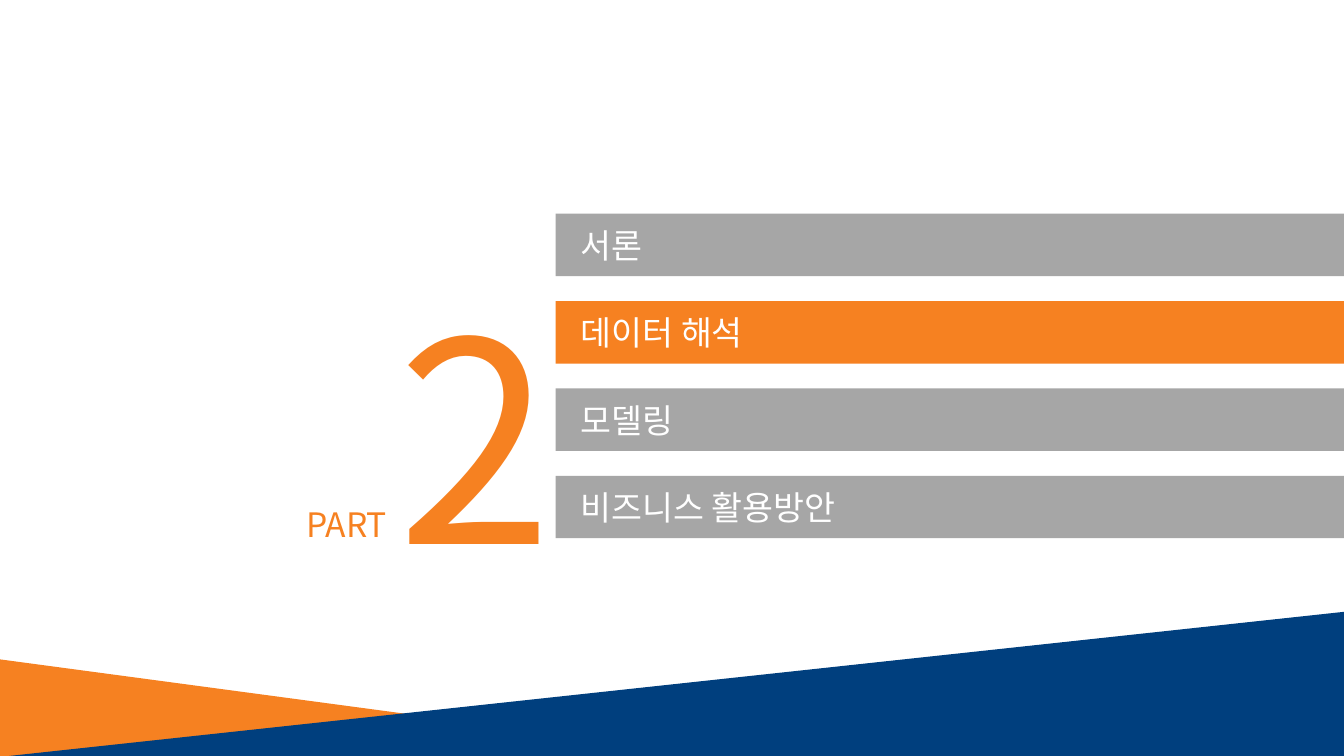
from dataclasses import dataclass

from pptx import Presentation
from pptx.dml.color import RGBColor
from pptx.enum.shapes import MSO_SHAPE
from pptx.enum.text import MSO_ANCHOR, PP_ALIGN
from pptx.oxml.ns import qn
from pptx.util import Inches, Pt

RECT = MSO_SHAPE.RECTANGLE
WEDGE = MSO_SHAPE.ISOSCELES_TRIANGLE
MIDDLE = MSO_ANCHOR.MIDDLE
TOP = MSO_ANCHOR.TOP
LEFT = PP_ALIGN.LEFT


@dataclass(frozen=True)
class Theme:
    font: str = "Noto Sans CJK KR"
    accent: str = "F68121"
    navy: str = "003F7E"
    gray: str = "A6A6A6"
    white: str = "FFFFFF"
    label: int = 24
    number: int = 200


THEME = Theme()
WIDTH, HEIGHT = 13.33, 7.5
TOPICS = ["서론", "데이터 해석", "모델링", "비즈니스 활용방안"]
CURRENT = 2


def add_form(slide, kind, box, color):
    form = slide.shapes.add_shape(kind, *map(Inches, box))
    form.shadow.inherit = False
    form.fill.solid()
    form.fill.fore_color.rgb = RGBColor.from_string(color)
    form.line.fill.background()
    return form


def set_text(shape, text, size, color, anchor=TOP, inset=0.1):
    frame = shape.text_frame
    frame.word_wrap = True
    frame.vertical_anchor = anchor
    frame.margin_left = Inches(inset)
    para = frame.paragraphs[0]
    para.text = text
    para.alignment = LEFT
    font = para.font
    font.name = THEME.font
    font.size = Pt(size)
    font.color.rgb = RGBColor.from_string(color)
    props = para._p.pPr.find(qn("a:defRPr"))
    asian = props.makeelement(qn("a:ea"), {"typeface": THEME.font})
    props.find(qn("a:latin")).addnext(asian)


def add_label(slide, box, text, size):
    label = slide.shapes.add_textbox(*map(Inches, box))
    set_text(label, text, size, THEME.accent)


def draw_base(slide, box):
    left, top, width, height = box
    low = height * 0.67
    back = (left, top + height - low, width * 0.536, low)
    front = (left + 0.09, top, width - 0.09, height)
    for area, color, peak in ((back, THEME.accent, 0), (front, THEME.navy, 1)):
        wedge = add_form(slide, WEDGE, area, color)
        wedge.adjustments[0] = peak


def draw_topics(slide, box):
    left, top, width, height = box
    bar = 0.62
    pitch = (height - bar) / (len(TOPICS) - 1)
    for row, topic in enumerate(TOPICS):
        color = THEME.accent if row + 1 == CURRENT else THEME.gray
        area = (left, top + row * pitch, width, bar)
        shape = add_form(slide, RECT, area, color)
        set_text(shape, topic, THEME.label, THEME.white, MIDDLE, 0.25)


def draw_part(slide, box):
    left, top, width, height = box
    digit = 1.49
    add_label(slide, (left + width - digit, top, digit, height),
              str(CURRENT), THEME.number)
    add_label(slide, (left, top + 2.38, 1.34, 0.5), "PART", THEME.label)


def main():
    deck = Presentation()
    deck.slide_width, deck.slide_height = Inches(WIDTH), Inches(HEIGHT)
    slide = deck.slides.add_slide(deck.slide_layouts[6])
    draw_base(slide, (0, 6.07, WIDTH, HEIGHT - 6.07))
    draw_topics(slide, (5.51, 2.12, WIDTH - 5.51, 3.22))
    draw_part(slide, (2.94, 2.57, 2.39, 3.47))
    deck.save("out.pptx")


if __name__ == "__main__":
    main()
